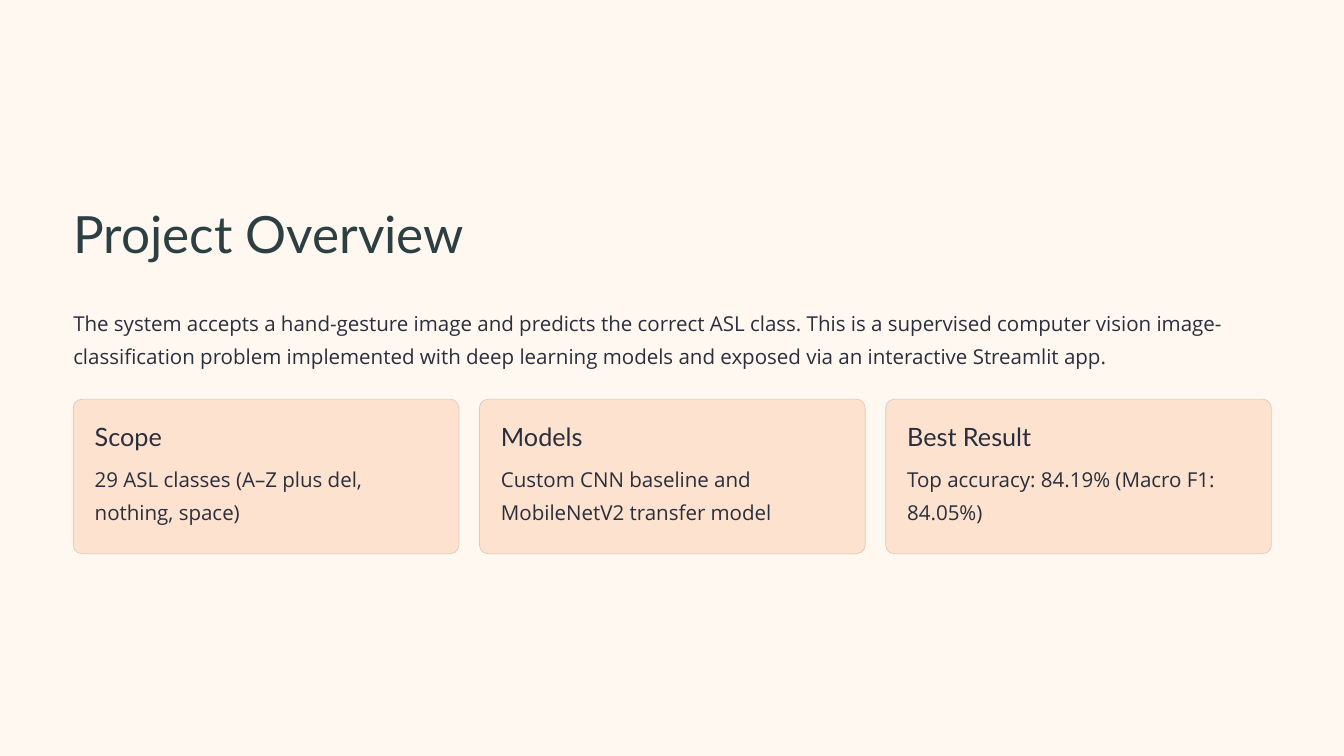
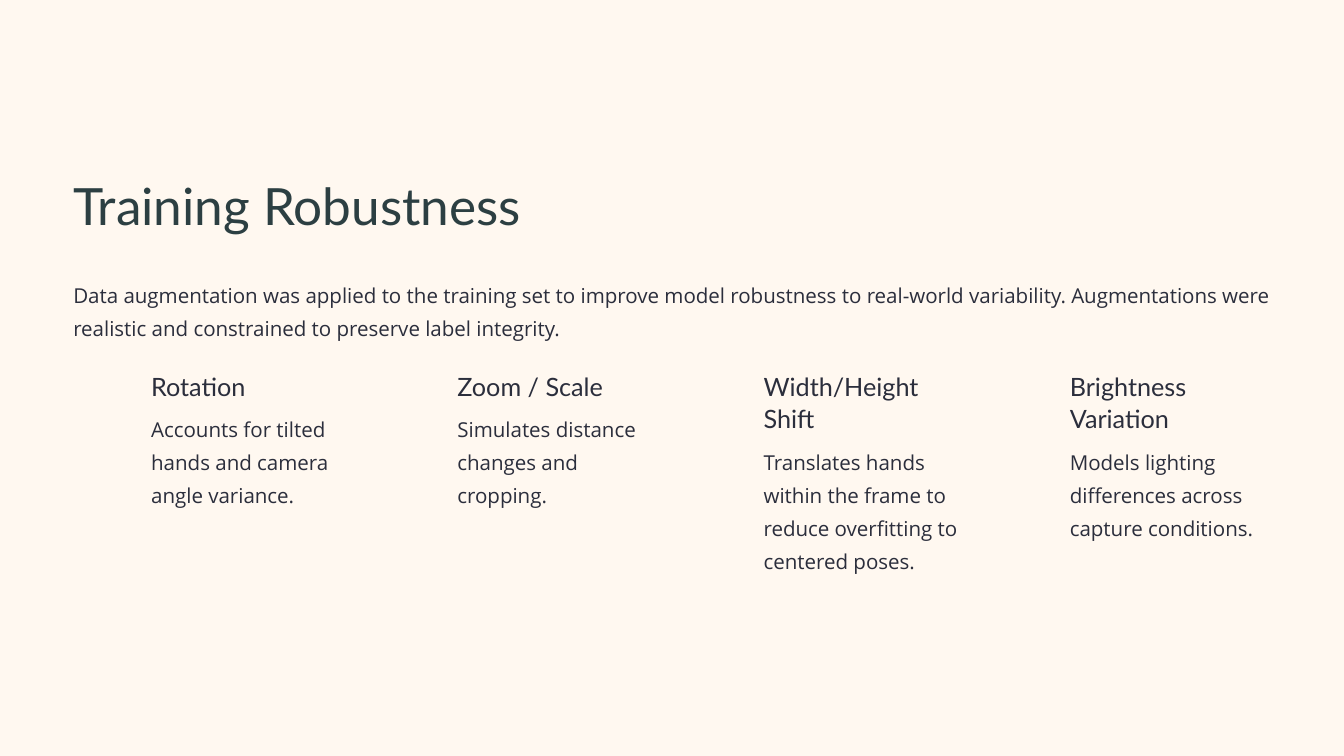
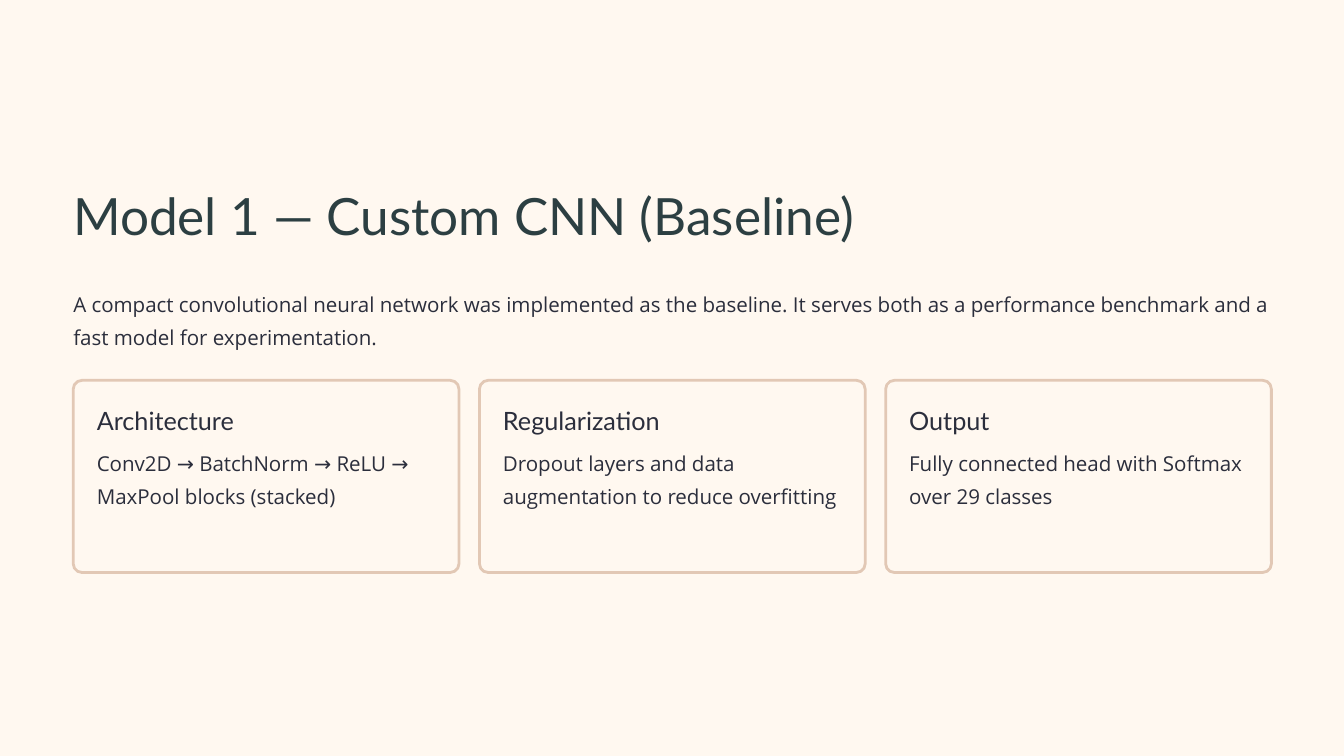
from dataclasses import dataclass
from typing import Optional

from lxml.etree import SubElement
from pptx import Presentation
from pptx.dml.color import RGBColor
from pptx.enum.shapes import MSO_SHAPE
from pptx.enum.text import MSO_ANCHOR, MSO_AUTO_SIZE, PP_ALIGN
from pptx.oxml.ns import qn
from pptx.util import Inches, Pt

CREAM = RGBColor(0xFF, 0xF8, 0xF0)
SAGE = RGBColor(0xAA, 0xBC, 0xB6)
PEACH = RGBColor(0xFC, 0xE2, 0xCF)
SAND = RGBColor(0xE2, 0xC8, 0xB5)
TEAL = RGBColor(0x2C, 0x3F, 0x42)
INK = RGBColor(0x2B, 0x2E, 0x3C)

SLIDE_W, SLIDE_H = Inches(20), Inches(11.25)
LEFT, RIGHT = 1.09, 18.92
CARD_W, CARD_RADIUS = 5.74, 0.13
LINE_H, HEADING_GAP, TEXT_EXTRA = 0.49, 0.09, 0.11

FRAME_FORMAT = {
    "margin_left": 0, "margin_right": 0, "margin_top": 0, "margin_bottom": 0,
    "word_wrap": True, "auto_size": MSO_AUTO_SIZE.NONE,
    "vertical_anchor": MSO_ANCHOR.TOP,
}


@dataclass(frozen=True)
class TextStyle:
    font: str
    size: float
    leading: float
    color: RGBColor


@dataclass(frozen=True)
class CardStyle:
    fill: RGBColor
    line_width: float
    height: float


@dataclass(frozen=True)
class Item:
    heading: str
    text: str
    heading_lines: int = 1
    text_lines: int = 2


@dataclass(frozen=True)
class Page:
    title: str
    title_top: float
    title_width: float
    intro: str
    intro_top: float
    items: list[Item]
    items_top: float
    first_left: float
    item_width: float
    heading_width: float
    pad_x: float = 0
    pad_y: float = 0
    card: Optional[CardStyle] = None


TITLE = TextStyle("Lato", 55, 68.6, TEAL)
HEADING = TextStyle("Lato", 27, 33.7, INK)
BODY = TextStyle("Open Sans", 22, 35.1, INK)

PAGES = [
    Page(
        "Project Overview", 2.97, 8.75,
        "The system accepts a hand-gesture image and predicts the correct ASL class. "
        "This is a supervised computer vision image-classification problem implemented "
        "with deep learning models and exposed via an interactive Streamlit app.",
        4.51,
        [
            Item("Scope", "29 ASL classes (A–Z plus del, nothing, space)"),
            Item("Models", "Custom CNN baseline and MobileNetV2 transfer model"),
            Item("Best Result", "Top accuracy: 84.19% (Macro F1: 84.05%)"),
        ],
        5.94, LEFT, CARD_W, 3.88, 0.32, 0.31, CardStyle(PEACH, 0.75, 2.3),
    ),
    Page(
        "Training Robustness", 2.56, 8.75,
        "Data augmentation was applied to the training set to improve model robustness "
        "to real-world variability. Augmentations were realistic and constrained to "
        "preserve label integrity.",
        4.09,
        [
            Item("Rotation", "Accounts for tilted hands and camera angle variance.", 1, 3),
            Item("Zoom / Scale", "Simulates distance changes and cropping.", 1, 3),
            Item("Width/Height Shift", "Translates hands within the frame to reduce "
                 "overfitting to centered poses.", 2, 4),
            Item("Brightness Variation", "Models lighting differences across capture "
                 "conditions.", 2, 3),
        ],
        5.51, 2.25, 3, 3,
    ),
    Page(
        "Model 1 — Custom CNN (Baseline)", 2.7, 13.06,
        "A compact convolutional neural network was implemented as the baseline. It "
        "serves both as a performance benchmark and a fast model for experimentation.",
        4.23,
        [
            Item("Architecture", "Conv2D → BatchNorm → ReLU → MaxPool blocks (stacked)"),
            Item("Regularization", "Dropout layers and data augmentation to reduce "
                 "overfitting", 1, 3),
            Item("Output", "Fully connected head with Softmax over 29 classes"),
        ],
        5.66, LEFT, CARD_W, 3.88, 0.35, 0.35, CardStyle(CREAM, 3, 2.86),
    ),
]


def apply_format(target, values: dict) -> None:
    """Set each named attribute on the target."""
    for name, value in values.items():
        setattr(target, name, value)


def write_text(sp, text: str, style: TextStyle, left: float, top: float,
               width: float, height: float) -> None:
    """Place a text shape and fill it with one styled paragraph."""
    apply_format(sp, {"left": Inches(left), "top": Inches(top),
                      "width": Inches(width), "height": Inches(height)})
    tf = sp.text_frame
    apply_format(tf, FRAME_FORMAT)
    p = tf.paragraphs[0]
    pPr = p._p.get_or_add_pPr()
    pPr.set("marL", "0")
    pPr.set("indent", "0")
    SubElement(pPr, qn("a:buNone"))
    apply_format(p, {"alignment": PP_ALIGN.LEFT, "line_spacing": Pt(style.leading),
                     "space_before": Pt(0)})
    r = p.add_run()
    r.text = text
    apply_format(r.font, {"name": style.font, "size": Pt(style.size)})
    r.font.color.rgb = style.color


def add_text(slide, text: str, style: TextStyle, left: float, top: float,
             width: float, height: float) -> None:
    """Add a text box with one styled paragraph."""
    sp = slide.shapes.add_textbox(0, 0, 0, 0)
    write_text(sp, text, style, left, top, width, height)


def add_panel(slide) -> None:
    """Add the cream panel behind everything else on the slide."""
    sp = slide.shapes.add_shape(MSO_SHAPE.RECTANGLE, 0, 0, SLIDE_W, SLIDE_H)
    sp.shadow.inherit = False
    sp.fill.solid()
    sp.fill.fore_color.rgb = CREAM
    sp.line.fill.background()
    slide.shapes._spTree.insert(2, sp._element)


def add_card(slide, card: CardStyle, left: float, top: float) -> None:
    """Add a rounded card."""
    sp = slide.shapes.add_shape(MSO_SHAPE.ROUNDED_RECTANGLE, Inches(left), Inches(top),
                                Inches(CARD_W), Inches(card.height))
    sp.adjustments[0] = CARD_RADIUS / card.height
    sp.shadow.inherit = False
    sp.fill.solid()
    sp.fill.fore_color.rgb = card.fill
    sp.line.color.rgb = SAND
    sp.line.width = Pt(card.line_width)


def add_item(slide, page: Page, item: Item, left: float) -> None:
    """Add a heading with its text, on a card if the page has them."""
    if page.card:
        add_card(slide, page.card, left, page.items_top)
    x, y = left + page.pad_x, page.items_top + page.pad_y
    heading_height = item.heading_lines * LINE_H
    add_text(slide, item.heading, HEADING, x, y, page.heading_width, heading_height)
    add_text(slide, item.text, BODY, x, y + heading_height + HEADING_GAP,
             page.item_width - 2 * page.pad_x, item.text_lines * LINE_H + TEXT_EXTRA)


def add_page(prs, page: Page) -> None:
    """Add a slide with title, introduction and a row of items."""
    slide = prs.slides.add_slide(prs.slide_layouts[1])
    add_panel(slide)
    write_text(slide.shapes.title, page.title, TITLE, LEFT, page.title_top,
               page.title_width, 1)
    write_text(slide.placeholders[1], page.intro, BODY, LEFT, page.intro_top,
               RIGHT - LEFT, 1.09)
    step = (RIGHT - page.first_left - page.item_width) / (len(page.items) - 1)
    for i, item in enumerate(page.items):
        add_item(slide, page, item, page.first_left + i * step)


def main() -> None:
    """Build and save the presentation."""
    prs = Presentation()
    prs.slide_width, prs.slide_height = SLIDE_W, SLIDE_H
    background = prs.slide_master.background.fill
    background.solid()
    background.fore_color.rgb = SAGE
    for page in PAGES:
        add_page(prs, page)
    prs.save("out.pptx")


if __name__ == "__main__":
    main()
